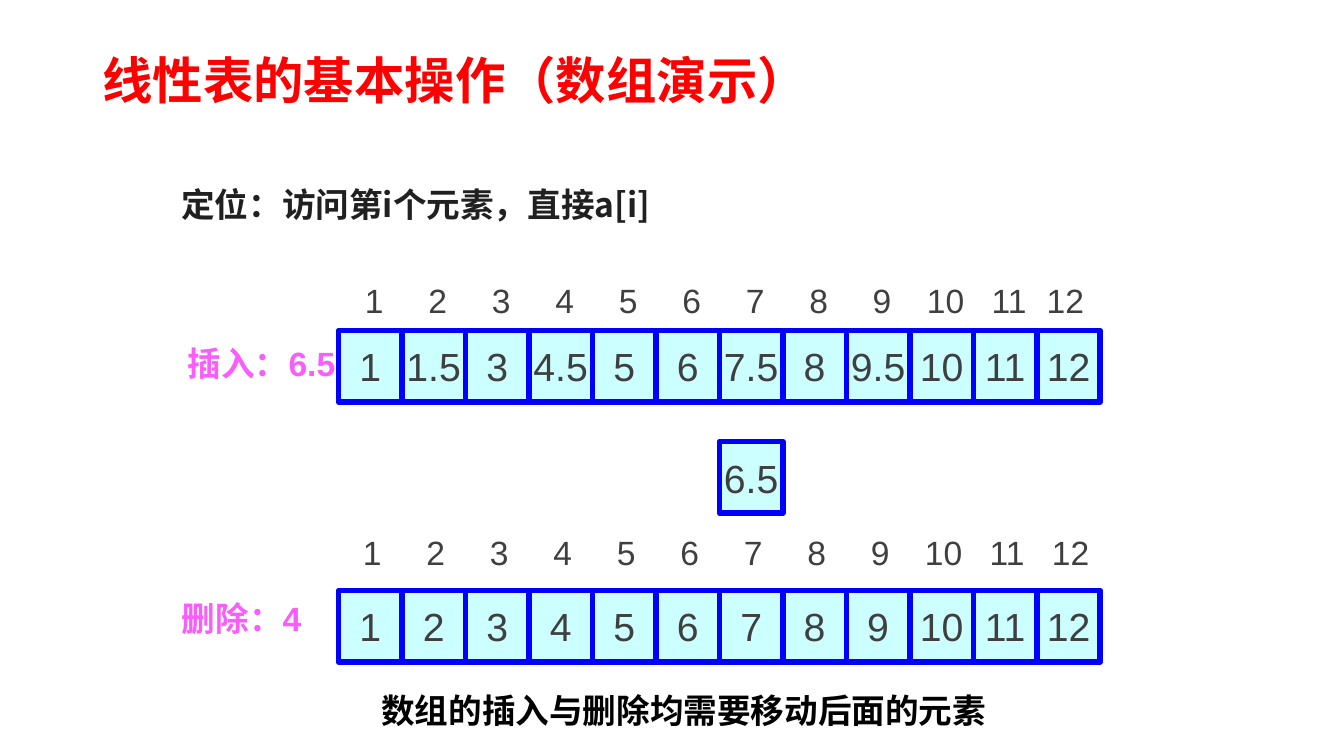
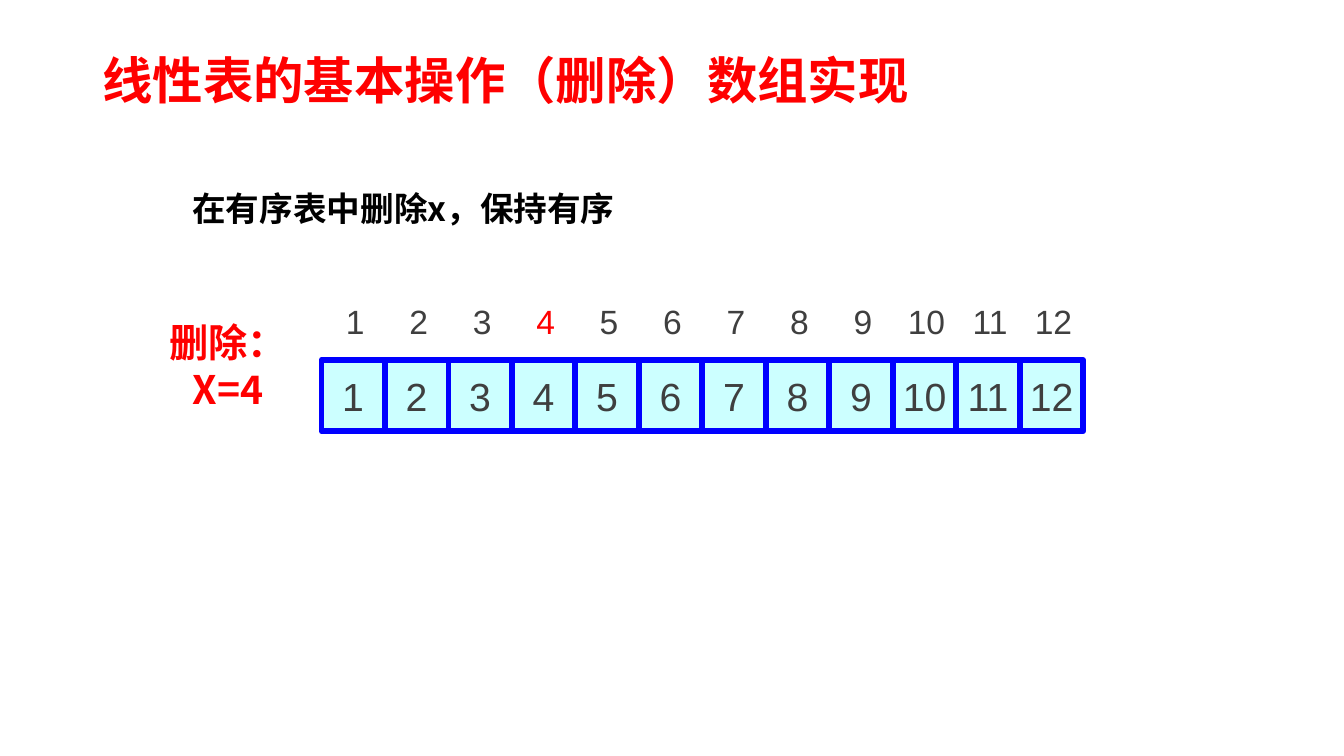
from pptx import Presentation
from pptx.dml.color import RGBColor
from pptx.enum.shapes import MSO_SHAPE
from pptx.enum.text import MSO_ANCHOR, MSO_AUTO_SIZE, PP_ALIGN
from pptx.oxml.ns import qn
from pptx.util import Cm, Pt

RECT = MSO_SHAPE.RECTANGLE
LEFT, CENTER = PP_ALIGN.LEFT, PP_ALIGN.CENTER
TOP, MIDDLE = MSO_ANCHOR.TOP, MSO_ANCHOR.MIDDLE
GROW, FIXED = MSO_AUTO_SIZE.SHAPE_TO_FIT_TEXT, MSO_AUTO_SIZE.NONE

LATIN, CJK = "Arial", "Noto Sans CJK SC"
RED, PINK, BLUE, AQUA = "FF0000", "FB5CFD", "0000FF", "CCFFFF"
GRAY, DARK, BLACK = "3F3F3F", "202020", "000000"
CELL_W, CELL_H, LINE_H = 1.6, 1.8, 1.27


def rgb(value):
    """Turn a hex string into a colour."""
    return RGBColor.from_string(value)


def write(tf, text, size=24, color=GRAY, font=LATIN, bold=False, align=CENTER,
          anchor=TOP, wrap=True, fit=GROW, spacing=None):
    """Fill a text frame, one paragraph for each line of text."""
    tf.auto_size = fit
    tf.word_wrap = wrap
    tf.vertical_anchor = anchor
    for i, line in enumerate(text.split("\n")):
        p = tf.add_paragraph() if i else tf.paragraphs[0]
        p.alignment = align
        p.line_spacing = spacing
        r = p.add_run()
        r.text = line
        f = r.font
        f.size, f.bold, f.name = Pt(size), bold, font
        f.color.rgb = rgb(color)
        rpr = r._r.get_or_add_rPr()
        rpr.set("lang", "zh-CN")
        ea = rpr.makeelement(qn("a:ea"), {"typeface": CJK})
        rpr.find(qn("a:latin")).addnext(ea)


def add_text(shapes, text, x, y, w, h=LINE_H, **fmt):
    """Add a text box with formatted text."""
    write(shapes.add_textbox(Cm(x), Cm(y), Cm(w), Cm(h)).text_frame, text, **fmt)


def add_cell(shapes, text, x, y):
    """Add one cell of an array."""
    sp = shapes.add_shape(RECT, Cm(x), Cm(y), Cm(CELL_W), Cm(CELL_H))
    sp.shadow.inherit = False
    sp.fill.solid()
    sp.fill.fore_color.rgb = rgb(AQUA)
    sp.line.color.rgb = rgb(BLUE)
    sp.line.width = Pt(4)
    write(sp.text_frame, text, size=28, anchor=MIDDLE, wrap=False, fit=FIXED)


def add_array(shapes, values, x, y, index_rise, index_shift=0.05, last_shift=0.05, marked=None):
    """Add a row of cells with their index numbers above."""
    for i, value in enumerate(values):
        left = x + i * CELL_W
        shift = last_shift if i == len(values) - 1 else index_shift
        add_cell(shapes, value, left, y)
        add_text(shapes, str(i + 1), left + shift, y - index_rise, CELL_W,
                 color=RED if i + 1 == marked else GRAY, wrap=False)


def add_titled_slide(prs, title):
    """Add a blank slide with the shared title style."""
    s = prs.slides.add_slide(prs.slide_layouts[6])
    add_text(s.shapes, title, 2.33, 1.02, 29.21, 2.13, size=36, color=RED, font=CJK,
             bold=True, align=LEFT, anchor=MIDDLE, fit=FIXED, spacing=0.9)
    return s


def demo_slide(prs, numbers):
    """Build the slide on access, insertion and deletion in an array."""
    shapes = add_titled_slide(prs, "线性表的基本操作（数组演示）").shapes
    x, insert_y, delete_y = 8.53, 8.33, 14.88
    mixed = ["1", "1.5", "3", "4.5", "5", "6", "7.5", "8", "9.5", "10", "11", "12"]
    add_text(shapes, "定位：访问第i个元素，直接a[i]", 4.32, 4.52, 16.18,
             color=DARK, font=CJK, bold=True, align=LEFT)
    add_array(shapes, mixed, x, insert_y, 1.4, index_shift=0.1, last_shift=-0.08)
    add_cell(shapes, "6.5", x + mixed.index("7.5") * CELL_W, insert_y + 2.8)
    add_array(shapes, numbers, x, delete_y, 1.6)
    for text, y, w in (("插入：6.5", insert_y + 0.18, 4.7), ("删除：4", delete_y + 0.05, 3.7)):
        add_text(shapes, text, 4.24, y, w, color=PINK, bold=True)
    add_text(shapes, "数组的插入与删除均需要移动后面的元素", 5.33, 17.25, 23.8,
             color=BLACK, font=CJK, bold=True)


def delete_slide(prs, numbers):
    """Build the slide on deletion from an ordered array."""
    s = add_titled_slide(prs, "线性表的基本操作（删除）数组实现")
    add_text(s.shapes, "在有序表中删除x，保持有序", 4.6, 4.62, 16,
             color=BLACK, font=CJK, bold=True, align=LEFT)
    shapes = s.shapes.add_group_shape().shapes
    add_text(shapes, "删除：\nX=4", 4.01, 7.9, 3.48, 2.62, size=28, color=RED,
             font=CJK, bold=True, wrap=False)
    add_array(shapes, numbers, 8.1, 9.07, 1.6, marked=4)


def main():
    """Build and save the presentation."""
    prs = Presentation()
    prs.slide_width, prs.slide_height = Cm(33.87), Cm(19.05)
    numbers = [str(n) for n in range(1, 13)]
    demo_slide(prs, numbers)
    delete_slide(prs, numbers)
    prs.save("out.pptx")


if __name__ == "__main__":
    main()
